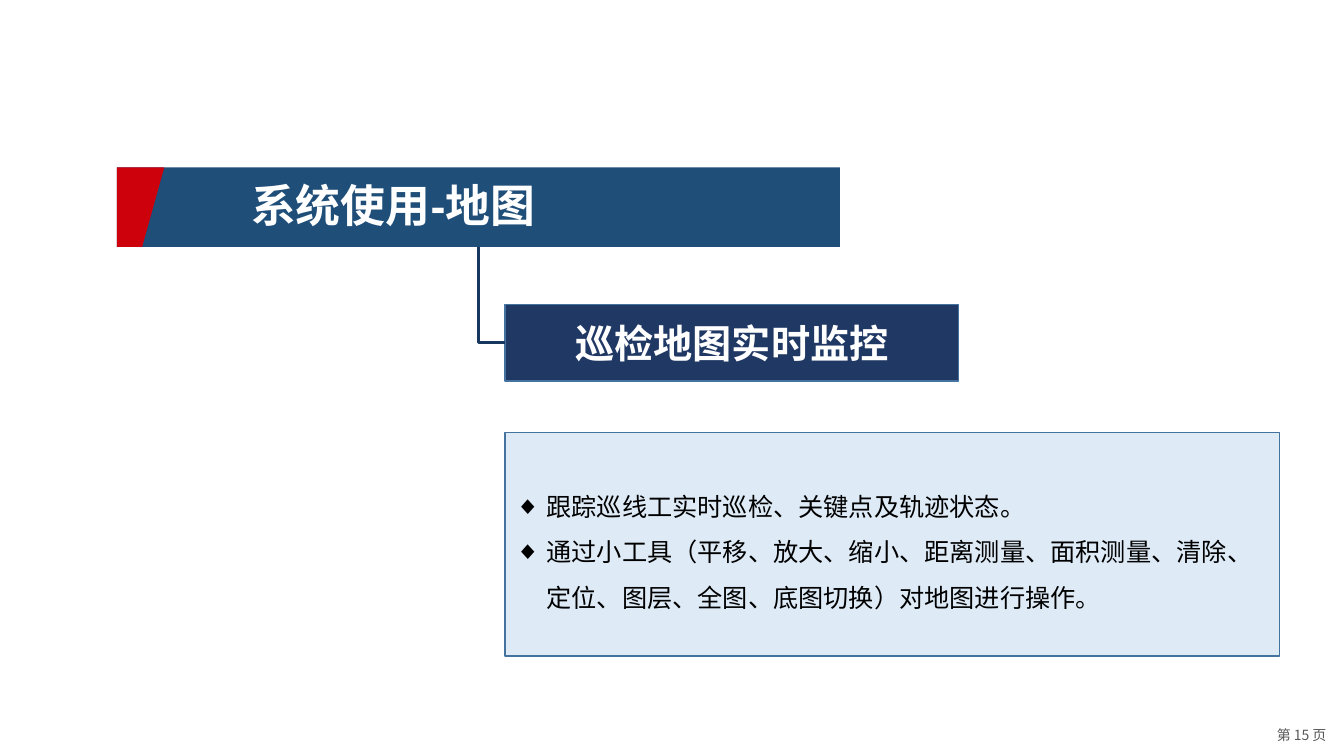
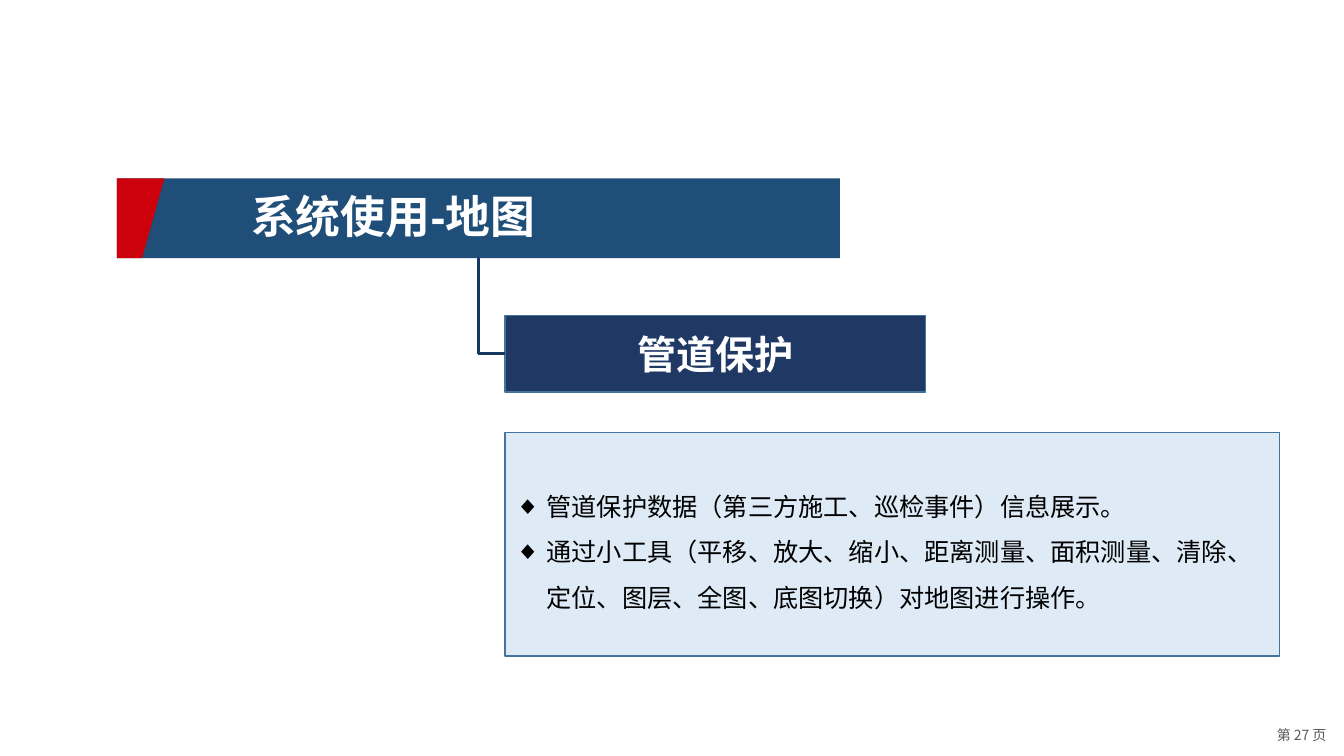
"""Build the two map section slides."""
from dataclasses import dataclass

from lxml.etree import SubElement as Sub
from pptx import Presentation
from pptx.dml.color import RGBColor as RGB
from pptx.enum.lang import MSO_LANGUAGE_ID as Lang
from pptx.enum.shapes import MSO_CONNECTOR as Link, MSO_SHAPE as Kind
from pptx.enum.text import MSO_ANCHOR as Anchor, MSO_AUTO_SIZE as Fit, PP_ALIGN as Align
from pptx.oxml.ns import qn
from pptx.util import Inches, Pt

HUES = {
    "bar": "1F4E79", "wedge": "CD010C", "topic": "203864", "edge": "43739E",
    "link": "17375E", "panel": "DEEBF7", "white": "FFFFFF", "black": "000000",
    "page": "595959",
}
TITLE = "系统使用-地图"
TOOLS = "通过小工具（平移、放大、缩小、距离测量、面积测量、清除、定位、图层、全图、底图切换）对地图进行操作。"
LEFT, HIGH = 1.16, 0.79


@dataclass
class Page:
    num: int
    top: float
    topic: str
    width: float
    points: list[str]


PAGES = [
    Page(15, 1.66, "巡检地图实时监控", 4.5, ["跟踪巡线工实时巡检、关键点及轨迹状态。", TOOLS]),
    Page(27, 1.77, "管道保护", 4.17, ["管道保护数据（第三方施工、巡检事件）信息展示。", TOOLS]),
]


def hue(name: str) -> RGB:
    return RGB.from_string(HUES[name])


def place(shape, x: float, y: float, w: float, h: float) -> None:
    shape.left, shape.top = Inches(x), Inches(y)
    shape.width, shape.height = Inches(w), Inches(h)


def paint(shape, fill: str, edge: str | None = None) -> None:
    shape.fill.solid()
    shape.fill.fore_color.rgb = hue(fill)
    if edge:
        shape.line.color.rgb = hue(edge)
        shape.line.width = Pt(1)
    else:
        shape.line.fill.background()


def rect(slide, x: float, y: float, w: float, h: float, fill: str, edge: str | None = None):
    shape = slide.shapes.add_shape(Kind.RECTANGLE, Inches(x), Inches(y), Inches(w), Inches(h))
    shape.shadow.inherit = False
    paint(shape, fill, edge)
    return shape


def write(shape, lines: list[str], size: int, color: str, align: Align = Align.LEFT,
          bold: bool = False, face: str = "Arial", bullet: str = "") -> None:
    frame = shape.text_frame
    frame.word_wrap, frame.auto_size = True, Fit.NONE
    frame.vertical_anchor = Anchor.MIDDLE
    frame.text = "\n".join(lines)
    for para in frame.paragraphs:
        para.alignment, para.space_before = align, Pt(0)
        if bullet:
            props = para._p.get_or_add_pPr()
            props.set("marL", str(Inches(0.31)))
            props.set("indent", str(-Inches(0.31)))
            Sub(props, qn("a:buChar"), char=bullet)
            para.line_spacing = 1.5
        font = para.font
        font.size, font.bold, font.name = Pt(size), bold, face
        font.color.rgb = hue(color)
        font.language_id = Lang.SIMPLIFIED_CHINESE


def wedge(slide, y: float) -> None:
    spots = [(LEFT + 0.47, y), (LEFT + 0.25, y + HIGH), (LEFT, y + HIGH)]
    pen = slide.shapes.build_freeform(Inches(LEFT), Inches(y))
    pen.add_line_segments([(Inches(x), Inches(b)) for x, b in spots])
    shape = pen.convert_to_shape()
    shape.shadow.inherit = False
    paint(shape, "wedge")


def join(slide, box, bar) -> None:
    line = slide.shapes.add_connector(Link.ELBOW, 0, 0, 0, 0)
    line.begin_connect(box, 1)
    line.end_connect(bar, 2)
    line.line.color.rgb, line.line.width = hue("link"), Pt(2.25)
    props = line.element.spPr
    props.find(qn("a:prstGeom")).set("prst", "bentConnector2")
    Sub(props, qn("a:effectLst"))


def build(deck, page: Page) -> None:
    slide = deck.slides.add_slide(deck.slide_layouts[1])
    title, body = slide.placeholders
    foot = slide.shapes.add_textbox(Inches(12.48), Inches(7.16), Inches(0.86), Inches(0.27))
    write(foot, [f"第 {page.num} 页"], 10, "page", Align.CENTER, face="Noto Sans CJK SC")

    bar = rect(slide, LEFT, page.top, 7.17, HIGH, "bar")
    wedge(slide, page.top)
    place(title, 2.39, page.top + 0.05, 5.93, 0.64)
    write(title, [TITLE], 32, "white", bold=True)
    title.element.getparent().append(title.element)

    box = rect(slide, 5.01, page.top + 1.36, page.width, 0.76, "topic", "edge")
    write(box, [page.topic], 28, "white", Align.CENTER, bold=True)
    join(slide, box, bar)

    place(body, 5.01, 4.29, 7.68, 2.22)
    paint(body, "panel", "edge")
    write(body, page.points, 18, "black", bullet="◆")


def main() -> None:
    deck = Presentation()
    deck.slide_width, deck.slide_height = Inches(13.33), Inches(7.5)
    for page in PAGES:
        build(deck, page)
    deck.save("out.pptx")


if __name__ == "__main__":
    main()
